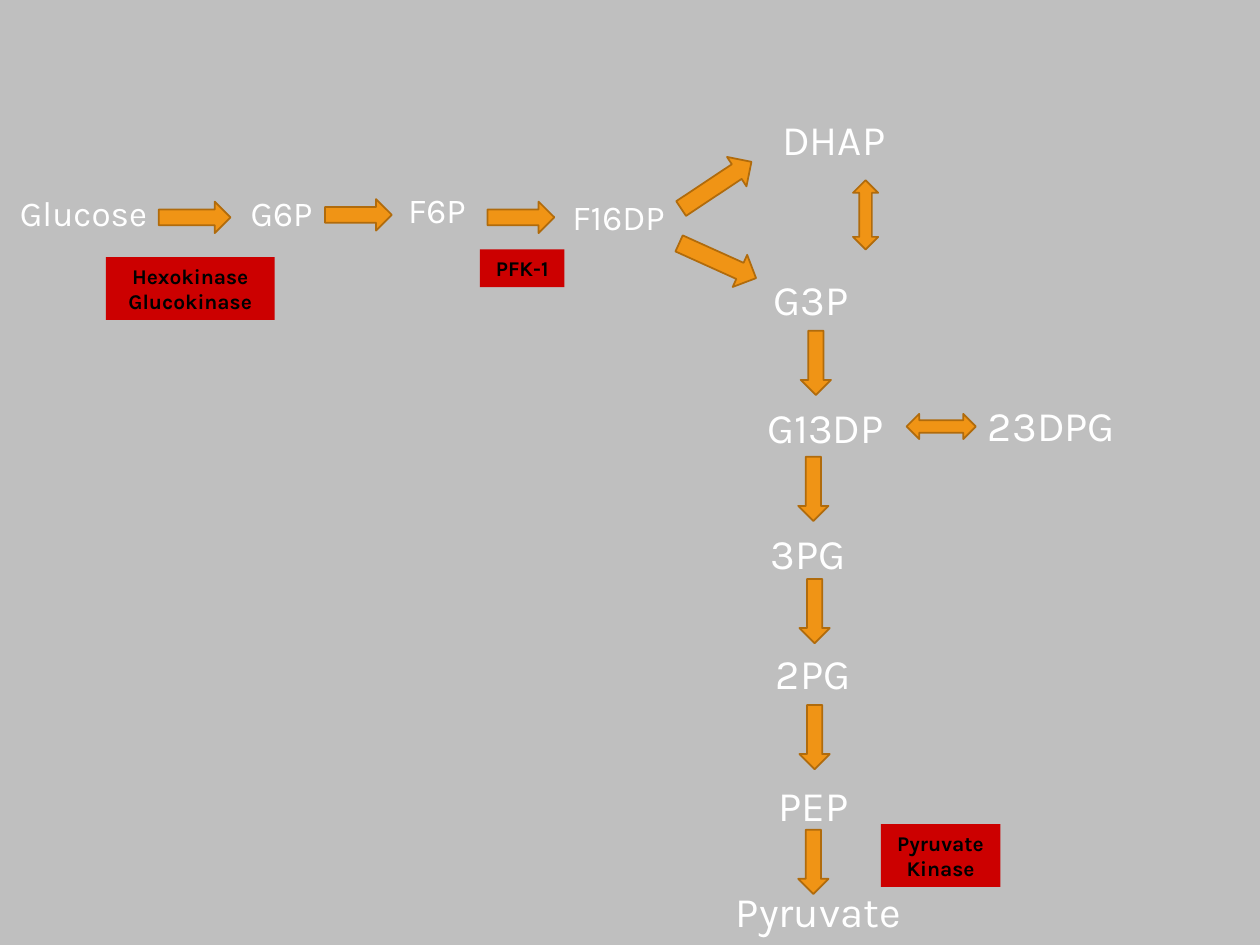
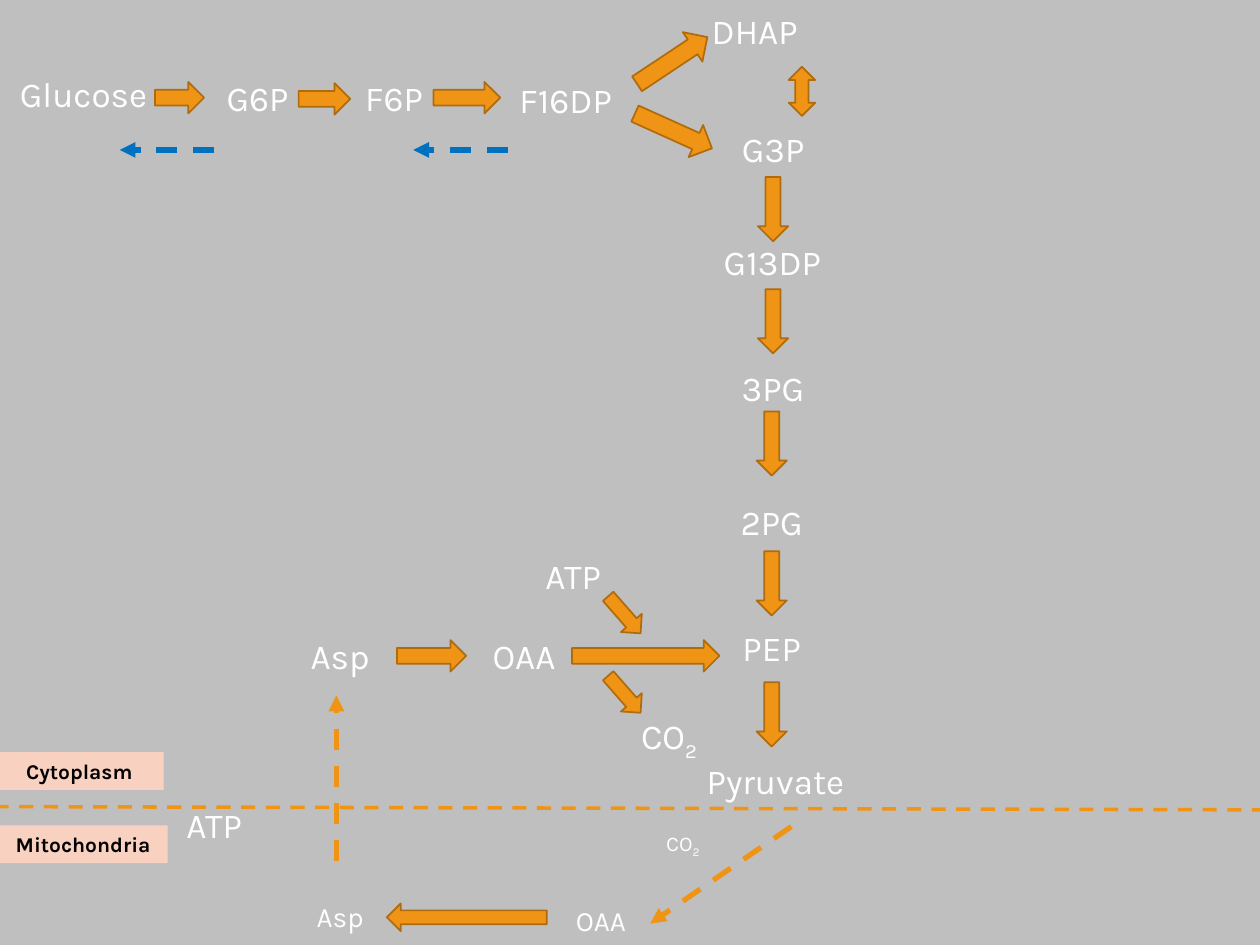
from lxml import etree
from pptx import Presentation
from pptx import util as u
from pptx.dml.color import RGBColor
from pptx.enum import dml, shapes, text
from pptx.oxml import ns

FONT = "Karla"
GRAY, WHITE, BLACK = "BFBFBF", "FFFFFF", "000000"
ORANGE, BROWN, BLUE = "F09415", "B06B0C", "0070C0"
RED, PEACH = "CC0000", "F9D1C1"
TEXT_HEIGHTS = {12: 0.3, 16: 0.37, 20: 0.44, 24: 0.5}
LEFT, CENTER = text.PP_ALIGN.LEFT, text.PP_ALIGN.CENTER
RIGHT_ARROW = shapes.MSO_SHAPE.RIGHT_ARROW
UP_DOWN_ARROW = shapes.MSO_SHAPE.UP_DOWN_ARROW


def color(code):
    return RGBColor.from_string(code)


def frame(left, top, width, height):
    return [u.Inches(length) for length in (left, top, width, height)]


def format_text(box, align, size, code, bold=False):
    box.text_frame.word_wrap = True
    box.text_frame.auto_size = text.MSO_AUTO_SIZE.SHAPE_TO_FIT_TEXT
    for para in box.text_frame.paragraphs:
        para.alignment = align
        for span in para.runs:
            span.font.name = FONT
            span.font.size = u.Pt(size)
            span.font.bold = bold
            span.font.color.rgb = color(code)


def add_label(page, name, left, top, width, size=20, align=CENTER, subscript=""):
    box = page.shapes.add_textbox(*frame(left, top, width, TEXT_HEIGHTS[size]))
    box.text_frame.text = name
    if subscript:
        span = box.text_frame.paragraphs[0].add_run()
        span.text = subscript
        span._r.get_or_add_rPr().set("baseline", "-25000")
    format_text(box, align, size, WHITE)


def add_filled(page, kind, place, fill):
    shape = page.shapes.add_shape(kind, *frame(*place))
    shape.shadow.inherit = False
    shape.fill.solid()
    shape.fill.fore_color.rgb = color(fill)
    return shape


def add_tag(page, name, place, fill):
    tag = add_filled(page, shapes.MSO_SHAPE.RECTANGLE, place, fill)
    tag.line.fill.background()
    tag.text_frame.text = name
    format_text(tag, CENTER, 12, BLACK, bold=True)


def add_arrow(page, left, top, width, height=0.25, turn=0, kind=RIGHT_ARROW):
    arrow = add_filled(page, kind, (left, top, width, height), ORANGE)
    arrow.line.color.rgb = color(BROWN)
    arrow.line.width = u.Pt(1)
    arrow.rotation = turn


def add_down_arrows(page, places):
    for left, top in places:
        add_arrow(page, left, top, 0.51, 0.24, 90)


def add_split(page, left, upper, lower):
    add_arrow(page, left, upper, 0.67, 0.28, 326.4)
    add_arrow(page, left + 0.01, lower, 0.67, 0.28, 24.3)


def add_dashed_line(page, start, end, code=ORANGE, width=3, arrowhead=True):
    points = [u.Inches(length) for length in (*start, *end)]
    line = page.shapes.add_connector(shapes.MSO_CONNECTOR.STRAIGHT, *points)
    line.line.color.rgb = color(code)
    line.line.width = u.Pt(width)
    line.line.dash_style = dml.MSO_LINE.DASH
    if arrowhead:
        outline = line.line._get_or_add_ln()
        etree.SubElement(outline, ns.qn("a:tailEnd"), type="triangle")
    etree.SubElement(line._element.spPr, ns.qn("a:effectLst"))


def build_glycolysis(page):
    for name, left, top, width, align in (
        ("Glucose", 0.06, 1.47, 1.56, LEFT),
        ("G6P", 1.89, 1.47, 1.29, LEFT),
        ("F6P", 3.14, 1.45, 1.17, LEFT),
        ("F16DP", 4.26, 1.5, 1.3, CENTER),
    ):
        add_label(page, name, left, top, width, align=align)
    for name, left, top, width, align in (
        ("DHAP", 6.11, 0.85, 1.17, LEFT),
        ("G3P", 6.04, 2.12, 1.17, LEFT),
        ("G13DP", 5.99, 3.14, 1.29, LEFT),
        ("23DPG", 7.64, 3.12, 1.41, CENTER),
        ("3PG", 5.83, 4.14, 1.17, CENTER),
        ("2PG", 5.87, 5.09, 1.17, CENTER),
        ("PEP", 5.87, 6.14, 1.17, CENTER),
        ("Pyruvate", 5.71, 6.98, 1.57, CENTER),
    ):
        add_label(page, name, left, top, width, 24, align)
    for left, top, width in ((1.26, 1.6, 0.57), (2.58, 1.58, 0.53), (3.87, 1.6, 0.53)):
        add_arrow(page, left, top, width)
    add_split(page, 5.35, 1.33, 1.93)
    add_down_arrows(page, ((6.22, 2.76), (6.2, 3.76), (6.21, 4.73), (6.21, 5.73), (6.2, 6.72)))
    add_arrow(page, 6.77, 1.43, 0.2, 0.55, kind=UP_DOWN_ARROW)
    add_arrow(page, 7.37, 3.11, 0.2, 0.55, 90, UP_DOWN_ARROW)
    add_tag(page, "Hexokinase\nGlucokinase", (0.84, 2.04, 1.34, 0.5), RED)
    add_tag(page, "PFK-1", (3.81, 1.98, 0.67, 0.3), RED)
    add_tag(page, "Pyruvate Kinase", (6.99, 6.54, 0.95, 0.5), RED)


def build_gluconeogenesis(page):
    for name, left, top, width, align in (
        ("Glucose", 0.06, 0.53, 1.56, LEFT),
        ("G6P", 1.7, 0.56, 1.29, LEFT),
        ("F6P", 2.8, 0.56, 1.17, LEFT),
        ("F16DP", 3.84, 0.57, 1.3, CENTER),
        ("DHAP", 5.55, 0.03, 1.17, LEFT),
        ("G3P", 5.79, 0.96, 0.73, LEFT),
        ("G13DP", 5.49, 1.86, 1.28, CENTER),
        ("3PG", 5.55, 2.86, 1.17, CENTER),
        ("2PG", 5.54, 3.92, 1.17, CENTER),
        ("PEP", 5.54, 4.92, 1.17, CENTER),
        ("Pyruvate", 5.37, 5.98, 1.57, CENTER),
        ("ATP", 1.22, 6.33, 0.96, CENTER),
        ("ATP", 4.07, 4.35, 0.96, CENTER),
        ("Asp", 2.22, 4.99, 0.96, CENTER),
        ("OAA", 3.68, 4.99, 0.96, CENTER),
    ):
        add_label(page, name, left, top, width, align=align)
    add_label(page, "Asp", 2.22, 7.09, 0.96, 16)
    add_label(page, "OAA", 4.39, 7.12, 0.76, 16)
    add_label(page, "CO", 4.83, 5.62, 0.96, subscript="2")
    add_label(page, "CO", 5.04, 6.54, 0.76, 12, subscript="2")
    for left, top, width in (
        (1.23, 0.65, 0.39),
        (2.37, 0.66, 0.41),
        (3.44, 0.65, 0.53),
        (3.15, 5.08, 0.55),
        (4.54, 5.08, 1.17),
    ):
        add_arrow(page, left, top, width)
    add_split(page, 5, 0.34, 0.9)
    add_down_arrows(page, ((5.88, 1.54), (5.88, 2.43), (5.87, 3.4), (5.87, 4.51), (5.87, 5.55)))
    add_arrow(page, 6.26, 0.53, 0.21, 0.39, kind=UP_DOWN_ARROW)
    for top in (4.77, 5.4):
        add_arrow(page, 4.76, top, 0.39, 0.22, 48.8)
    add_arrow(page, 3.07, 7.17, 1.27, 0.22, 180)
    add_tag(page, "Cytoplasm", (-0.04, 5.97, 1.34, 0.3), PEACH)
    add_tag(page, "Mitochondria", (-0.01, 6.55, 1.34, 0.3), PEACH)
    add_dashed_line(page, (6.28, 6.56), (5.16, 7.33))
    add_dashed_line(page, (2.67, 6.83), (2.67, 5.52))
    add_dashed_line(page, (-0.63, 6.4), (10.95, 6.43), width=2, arrowhead=False)
    for left in (0.95, 3.28):
        add_dashed_line(page, (left + 0.75, 1.19), (left, 1.19), BLUE)


def main():
    deck = Presentation()
    deck.slide_width, deck.slide_height = u.Inches(10), u.Inches(7.5)
    background = deck.slide_master.background.fill
    background.solid()
    background.fore_color.rgb = color(GRAY)
    for build in (build_glycolysis, build_gluconeogenesis):
        build(deck.slides.add_slide(deck.slide_layouts[6]))
    deck.save("out.pptx")


if __name__ == "__main__":
    main()
